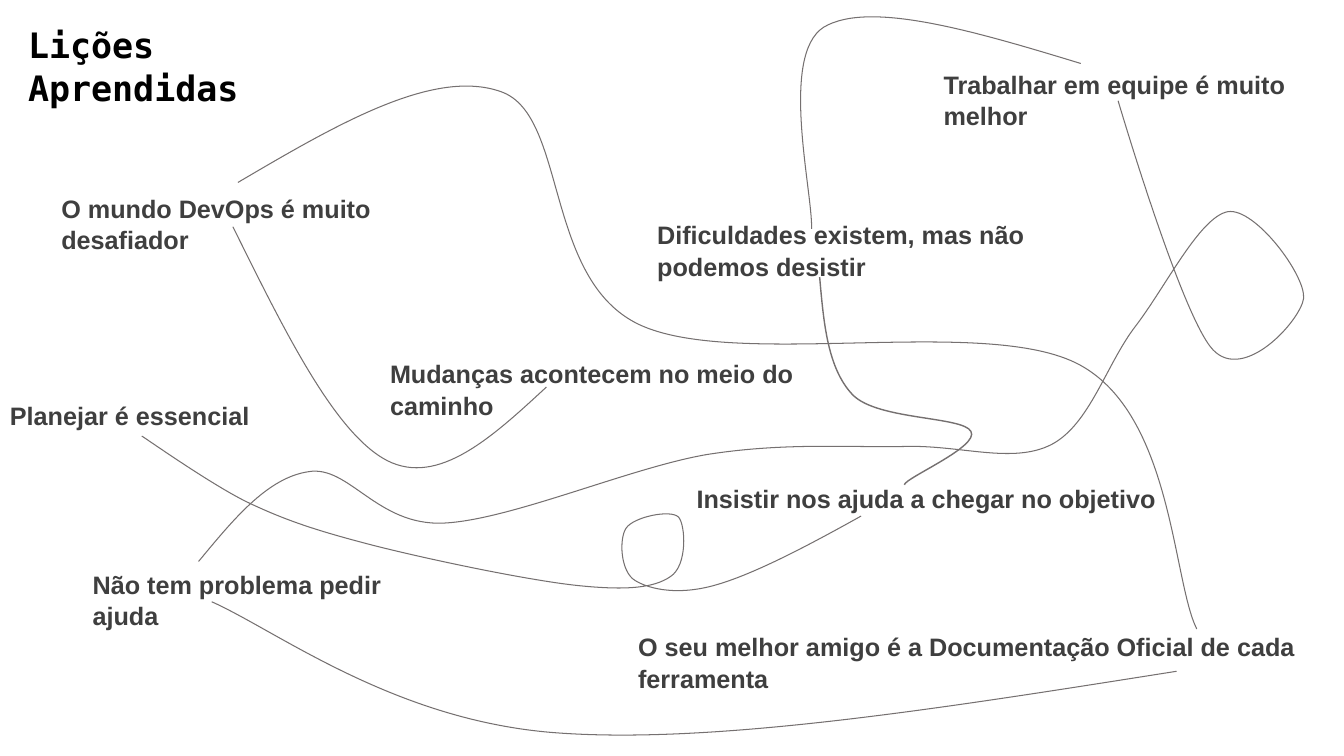
import dataclasses

import pptx
import pptx.dml.color
import pptx.oxml
import pptx.oxml.ns
import pptx.util
from lxml import etree

# The grid has square cells of one inch.
CELL = pptx.util.Inches(1)
COLUMNS, ROWS = 13.33, 7.5
CURVE_STEPS = 24


@dataclasses.dataclass(frozen=True)
class Theme:
    ink: str = "000000"
    body: str = "3F3F3F"
    thread: str = "757070"
    title_format: tuple = (("name", "DejaVu Sans Mono"), ("size", pptx.util.Pt(25)), ("bold", True))
    lesson_format: tuple = (("name", "Arial"), ("size", pptx.util.Pt(18)), ("bold", True))
    title_spacing: float = 1.03
    lesson_spacing: float = 1.05
    thread_width: float = 0.75
    knot_width: float = 1
    lesson_indent: float = 0.12


@dataclasses.dataclass(frozen=True)
class Box:
    left: float
    top: float
    width: float
    height: float

    def within(self, column, row, width, height):
        return Box(self.left + column, self.top + row, width, height)

    def point(self, column, row):
        return round((self.left + column) * CELL), round((self.top + row) * CELL)


THEME = Theme()
LESSON_HEIGHT = 0.4

# Text, column, row, width, indent
LESSONS = [
    ("Mudanças acontecem no meio do caminho", 3.65, 3.49, 4.56, THEME.lesson_indent),
    ("O mundo DevOps é muito desafiador", 0.39, 1.85, 3.94, THEME.lesson_indent),
    ("O seu melhor amigo é a Documentação Oficial de cada ferramenta", 6.23, 6.2, 6.91, 0),
    ("Trabalhar em equipe é muito melhor", 9.26, 0.62, 3.79, 0),
    ("Planejar é essencial", 0, 3.91, 2.78, 0),
    ("Dificuldades existem, mas não podemos desistir", 6.42, 2.11, 4.94, 0),
    ("Não tem problema pedir ajuda", 0.82, 5.58, 3.21, 0),
    ("Insistir nos ajuda a chegar no objetivo", 6.81, 4.73, 5.18, 0),
]

# Each thread: line width, start, then two control points and an end per curve
THREADS = [
    (THEME.thread_width, (5.42, 3.84), [
        (4.89, 4.33, 4.35, 4.83, 3.84, 4.57),
        (3.32, 4.3, 2.82, 3.28, 2.31, 2.25)]),
    (THEME.thread_width, (2.36, 1.81), [
        (3.33, 1.24, 4.3, 0.67, 4.97, 0.91),
        (5.63, 1.14, 5.39, 2.77, 6.34, 3.22),
        (7.3, 3.67, 9.79, 3.12, 10.71, 3.62),
        (11.63, 4.12, 11.63, 5.76, 11.87, 6.24)]),
    (THEME.thread_width, (11.67, 6.66), [
        (9.39, 7.02, 7.1, 7.39, 5.51, 7.27),
        (3.91, 7.15, 2.75, 6.26, 2.1, 5.97)]),
    (THEME.thread_width, (10.72, 0.63), [
        (9.67, 0.31, 8.62, 0, 8.17, 0.27),
        (7.73, 0.55, 8.06, 1.9, 8.05, 2.27)]),
    (THEME.thread_width, (8.54, 5.12), [
        (8.02, 5.41, 7.49, 5.69, 7.11, 5.8),
        (6.74, 5.91, 6.45, 5.85, 6.3, 5.76),
        (6.15, 5.67, 6.14, 5.34, 6.21, 5.24),
        (6.28, 5.13, 6.65, 5.05, 6.73, 5.13),
        (6.8, 5.21, 6.82, 5.61, 6.65, 5.72),
        (6.49, 5.83, 6.23, 5.86, 5.74, 5.81),
        (5.25, 5.76, 4.25, 5.55, 3.7, 5.41),
        (3.16, 5.27, 2.85, 5.17, 2.47, 4.99),
        (2.09, 4.81, 1.35, 4.28, 1.41, 4.33)]),
    (THEME.thread_width, (1.97, 5.57), [
        (2.31, 5.16, 2.65, 4.74, 3.06, 4.68),
        (3.46, 4.61, 3.74, 5.22, 4.4, 5.19),
        (5.06, 5.16, 6.25, 4.64, 7.01, 4.51),
        (7.77, 4.39, 8.39, 4.44, 8.96, 4.43),
        (9.52, 4.41, 10.04, 4.61, 10.43, 4.41),
        (10.81, 4.21, 10.97, 3.62, 11.26, 3.24),
        (11.56, 2.85, 11.9, 2.15, 12.18, 2.1),
        (12.45, 2.06, 12.95, 2.73, 12.93, 2.96),
        (12.9, 3.18, 12.34, 3.8, 12.03, 3.47),
        (11.72, 3.14, 11.09, 1, 11.09, 1)]),
    (THEME.knot_width, (8.13, 2.75), [
        (8.17, 3.21, 8.21, 3.66, 8.46, 3.92),
        (8.71, 4.17, 9.55, 4.13, 9.63, 4.28),
        (9.72, 4.43, 8.98, 4.74, 8.97, 4.81)]),
]


def rgb(value):
    return pptx.dml.color.RGBColor.from_string(value)


def add_text(slide, box, text, text_format, color, spacing, indent=0):
    left, top = box.point(0, 0)
    text_box = slide.shapes.add_textbox(left, top, round(box.width * CELL), round(box.height * CELL))
    text_box.text_frame.word_wrap = True
    paragraph = text_box.text_frame.paragraphs[0]
    paragraph.text = text
    paragraph.line_spacing = spacing
    if indent:
        margins = paragraph._p.get_or_add_pPr()
        margins.set("marL", str(round(indent * CELL)))
        margins.set("indent", "0")
    font = paragraph.runs[0].font
    for attribute, value in dict(text_format).items():
        setattr(font, attribute, value)
    font.color.rgb = rgb(color)


def sample_curve(start, first, second, end):
    """Return points along a cubic curve, without its start."""
    points = []
    for step in range(1, CURVE_STEPS + 1):
        t = step / CURVE_STEPS
        weights = ((1 - t) ** 3, 3 * t * (1 - t) ** 2, 3 * t ** 2 * (1 - t), t ** 3)
        points.append(tuple(
            round(sum(w * p for w, p in zip(weights, axis)))
            for axis in zip(start, first, second, end)))
    return points


def add_thread(slide, box, width, start, segments):
    """Size a freeform by points on the curves, then give it true curves."""
    origin = box.point(*start)
    curves = [[box.point(*segment[i:i + 2]) for i in (0, 2, 4)] for segment in segments]
    starts = [origin] + [curve[-1] for curve in curves]
    builder = slide.shapes.build_freeform(*origin)
    for begin, curve in zip(starts, curves):
        builder.add_line_segments(sample_curve(begin, *curve), close=False)
    thread = builder.convert_to_shape()

    outline = thread._element.find(".//" + pptx.oxml.ns.qn("a:path"))
    for command in list(outline):
        outline.remove(command)
    for tag, points in [("a:moveTo", [origin])] + [("a:cubicBezTo", curve) for curve in curves]:
        command = etree.SubElement(outline, pptx.oxml.ns.qn(tag))
        for x, y in points:
            etree.SubElement(command, pptx.oxml.ns.qn("a:pt"),
                             x=str(x - thread.left), y=str(y - thread.top))

    thread.shadow.inherit = False
    thread.fill.background()
    thread.line.color.rgb = rgb(THEME.thread)
    thread.line.width = pptx.util.Pt(width)


def add_title(slide, box):
    add_text(slide, box, "Lições Aprendidas", THEME.title_format, THEME.ink, THEME.title_spacing)


def add_lessons(slide, box):
    for text, column, row, width, indent in LESSONS:
        add_text(slide, box.within(column, row, width, LESSON_HEIGHT), text,
                 THEME.lesson_format, THEME.body, THEME.lesson_spacing, indent)


def add_threads(slide, box):
    for width, start, segments in THREADS:
        add_thread(slide, box, width, start, segments)


def main():
    presentation = pptx.Presentation()
    presentation.slide_width = round(COLUMNS * CELL)
    presentation.slide_height = round(ROWS * CELL)
    slide = presentation.slides.add_slide(presentation.slide_layouts[6])
    page = Box(0, 0, COLUMNS, ROWS)
    add_title(slide, page.within(0.18, 0.17, 2.57, 0.91))
    add_lessons(slide, page)
    add_threads(slide, page)
    presentation.save("out.pptx")


if __name__ == "__main__":
    main()
